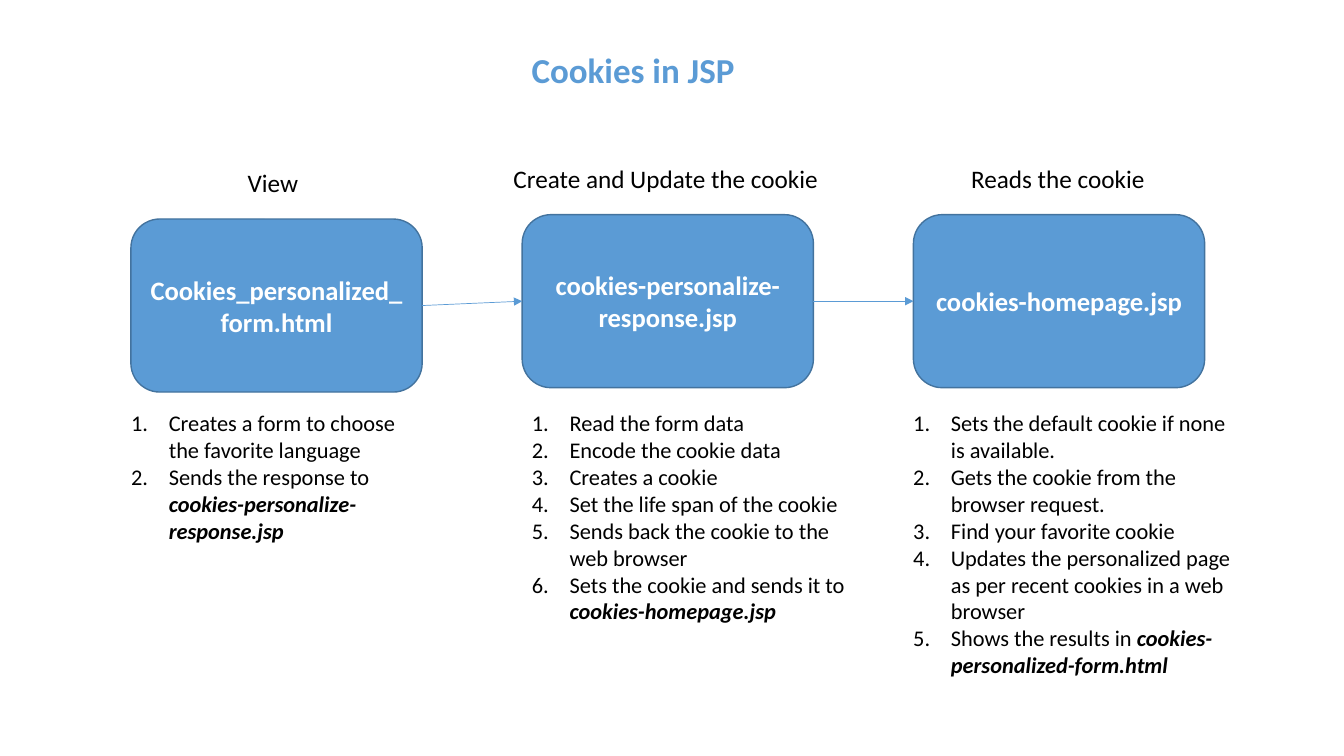
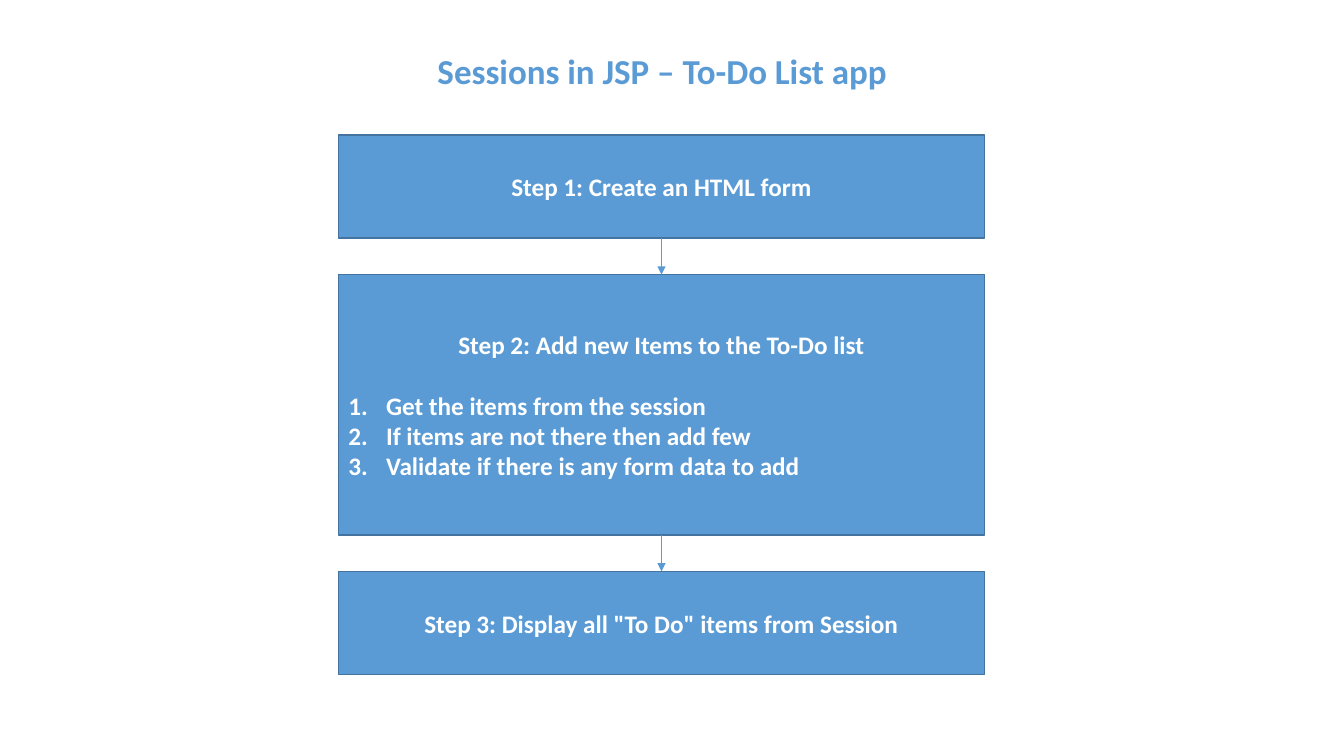
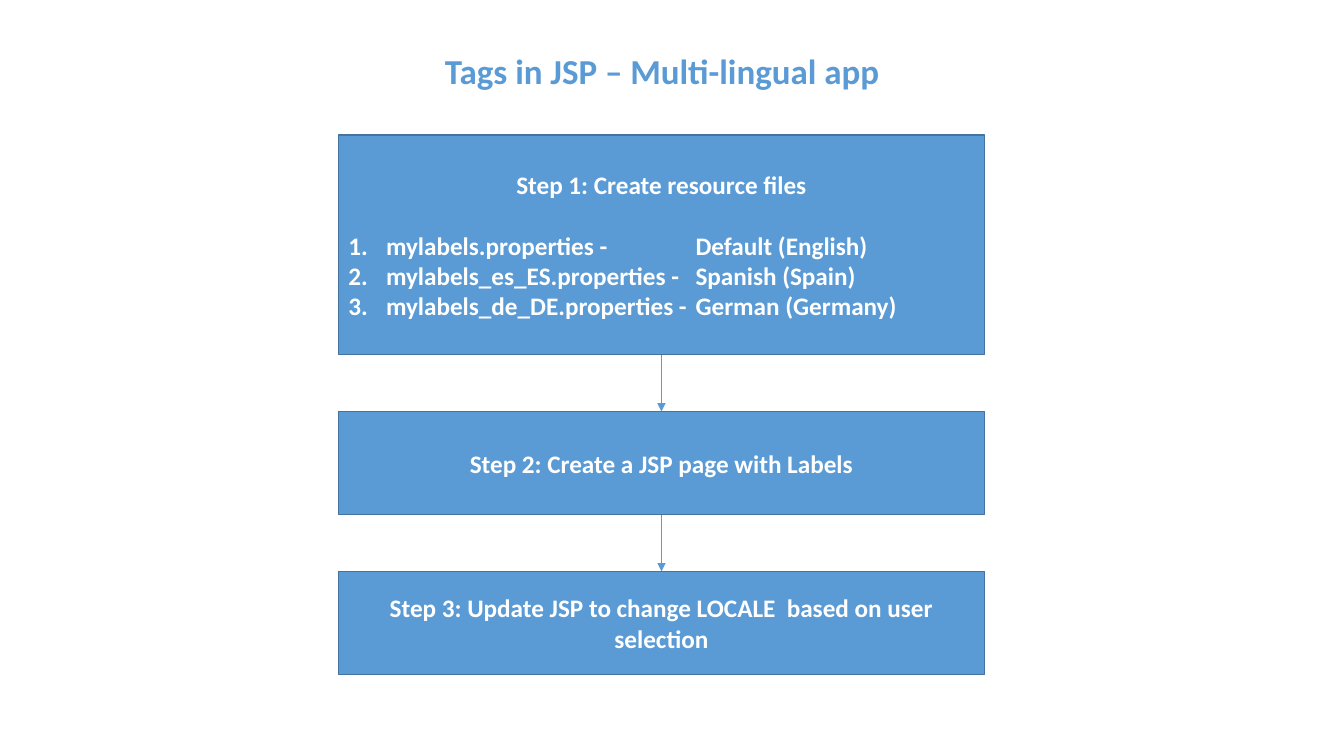
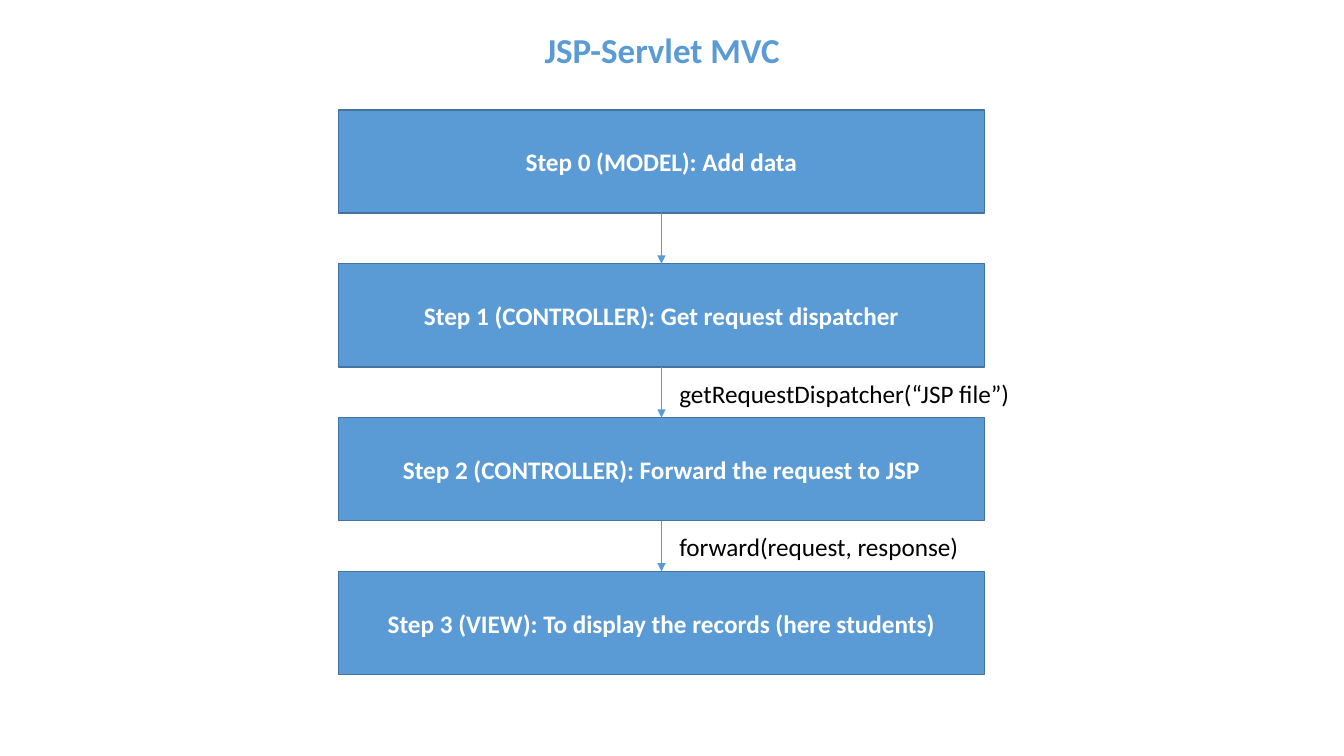
import pptx
import pptx.util
import pptx.dml.color
import pptx.enum.shapes
import pptx.enum.text
import pptx.oxml
import pptx.oxml.ns

Cm, Pt = pptx.util.Cm, pptx.util.Pt
Align = pptx.enum.text.PP_ALIGN
Anchor = pptx.enum.text.MSO_ANCHOR
Fit = pptx.enum.text.MSO_AUTO_SIZE
Kind = pptx.enum.shapes.MSO_SHAPE

FONT = "Calibri"
BLUE, EDGE, WHITE, BLACK = "5B9BD5", "43739E", "FFFFFF", "000000"
TOP, LEFT, BOTTOM, RIGHT = range(4)
INDENT = 0.95
STACK_X, STACK_W, STACK_END = 8.53, 16.28, 17


def color(code):
    """Turn a hex string into a colour."""
    return pptx.dml.color.RGBColor.from_string(code)


def node(parent, tag, **attrs):
    """Append an XML element with the given attributes."""
    part = pptx.oxml.parse_xml(f"<a:{tag} {pptx.oxml.ns.nsdecls('a')}/>")
    for name, value in attrs.items():
        part.set(name, str(value))
    parent.append(part)
    return part


def place(shape, x, y, w, h):
    """Move and size a shape, in centimetres."""
    shape.left, shape.top, shape.width, shape.height = map(Cm, (x, y, w, h))


def style(para, size, code, bold=False, align=Align.LEFT):
    """Format a whole paragraph."""
    font = para.font
    font.name, font.size, font.bold = FONT, Pt(size), bold
    font.color.rgb = color(code)
    para.alignment = align
    para.space_before = Pt(0)


def number(para, stop=None):
    """Number a paragraph with a hanging indent and an optional tab stop."""
    props = para._p.get_or_add_pPr()
    props.set("marL", str(Cm(INDENT)))
    props.set("indent", str(-Cm(INDENT)))
    marks = [node(props, "buFont", typeface="+mj-lt"),
             node(props, "buAutoNum", type="arabicPeriod")]
    if stop:
        tabs = node(props, "tabLst")
        node(tabs, "tab", pos=Cm(stop), algn="l")
        marks.append(tabs)
    final = props.find(pptx.oxml.ns.qn("a:defRPr"))
    if final is not None:
        for mark in marks:
            final.addprevious(mark)


def head(slide, text, x=2.08, y=0):
    """Fill and place the slide title."""
    title = slide.shapes.title
    place(title, x, y, 29.21, 3.68)
    frame = title.text_frame
    frame.text = text
    frame.auto_size = Fit.NONE
    frame.vertical_anchor = Anchor.MIDDLE
    para = frame.paragraphs[0]
    style(para, 25, BLUE, True, Align.CENTER)
    para.line_spacing = 0.9


def block(slide, kind, box, text, size):
    """Draw a filled box with a centred heading."""
    shape = slide.shapes.add_shape(kind, *map(Cm, box))
    shape.shadow.inherit = False
    shape.fill.solid()
    shape.fill.fore_color.rgb = color(BLUE)
    shape.line.color.rgb = color(EDGE)
    shape.line.width = Pt(1)
    shape.text_frame.text = text
    style(shape.text_frame.paragraphs[0], size, WHITE, True, Align.CENTER)
    return shape


def arrow(slide, start, out, end, into):
    """Join two boxes with an arrow between connection sites."""
    line = slide.shapes.add_connector(
        pptx.enum.shapes.MSO_CONNECTOR.STRAIGHT, 0, 0, 0, 0)
    line.begin_connect(start, out)
    line.end_connect(end, into)
    line.line.color.rgb = color(BLUE)
    line.line.width = Pt(0.5)
    node(line.line._get_or_add_ln(), "tailEnd", type="triangle")
    node(line._element.spPr, "effectLst")


def label(slide, text, x, y, w):
    """Write one line of plain text."""
    frame = slide.shapes.add_textbox(*map(Cm, (x, y, w, 1.03))).text_frame
    frame.word_wrap = False
    frame.text = text
    style(frame.paragraphs[0], 18, BLACK)


def steps(holder, box, items):
    """Fill a body placeholder with numbered items, each plain then strong."""
    place(holder, *box)
    frame = holder.text_frame
    frame.auto_size = Fit.NONE
    frame.vertical_anchor = Anchor.TOP
    for i, (plain, strong) in enumerate(items):
        para = frame.paragraphs[0] if i == 0 else frame.add_paragraph()
        para.add_run().text = plain
        if strong:
            run = para.add_run()
            run.text = strong
            run.font.bold = run.font.italic = True
        style(para, 16, BLACK)
        number(para)


def flow(slide, title, cols):
    """Build a row of linked boxes with captions above and lists below."""
    head(slide, title, 1.35, -0.03)
    w, h, pitch = 7.34, 4.36, 9.86
    bodies = list(slide.placeholders)[1:]
    last = None
    for i, (cap, span, name, y, body, items) in enumerate(cols):
        x = 3.3 + i * pitch
        label(slide, cap, x + (w - span) / 2, y - 1.43, span)
        shape = block(slide, Kind.ROUNDED_RECTANGLE, (x, y, w, h), name, 19)
        if last:
            arrow(slide, last, RIGHT, shape, LEFT)
        last = shape
        steps(bodies[i], body, items)
    for spare in bodies[len(cols):]:
        spare.element.getparent().remove(spare.element)


def stack(slide, title, top, rows, y=0):
    """Build a column of linked boxes, evenly spaced down to a fixed end."""
    head(slide, title, y=y)
    gap = (STACK_END - top - sum(row[1] for row in rows)) / (len(rows) - 1)
    last = None
    for text, h, items, note, span in rows:
        box = STACK_X, top, STACK_W, h
        shape = block(slide, Kind.RECTANGLE, box, text, 18)
        frame = shape.text_frame
        if items:
            frame.paragraphs[0].space_after = Pt(22)
        for item in items:
            para = frame.add_paragraph()
            para.text = item
            style(para, 18, WHITE, True)
            number(para, 8.75 if "\t" in item else None)
        if last:
            arrow(slide, last, BOTTOM, shape, TOP)
        last = shape
        top += h
        if note:
            label(slide, note, STACK_X + STACK_W / 2 + 0.2, top + 0.15, span)
        top += gap


def row(text, h=2.6, items=(), note="", span=0):
    """Describe one box of a stack."""
    return text, h, items, note, span


COOKIES = [
    ("View", 1.96, "Cookies_personalized_form.html", 5.52,
     (3.05, 10.19, 7.85, 3.68),
     [("Creates a form to choose the favorite language", ""),
      ("Sends the response to ", "cookies-personalize-response.jsp")]),
    ("Create and Update the cookie", 8.28,
     "cookies-personalize-response.jsp", 5.41, (13.15, 10.19, 8.66, 5.74),
     [("Read the form data", ""),
      ("Encode the cookie data", ""),
      ("Creates a cookie", ""),
      ("Set the life span of the cookie", ""),
      ("Sends back the cookie to the web browser", ""),
      ("Sets the cookie and sends it to ", "cookies-homepage.jsp")]),
    ("Reads the cookie", 4.93, "cookies-homepage.jsp", 5.41,
     (22.76, 10.19, 8.66, 7.77),
     [("Sets the default cookie if none is available.", ""),
      ("Gets the cookie from the browser request.", ""),
      ("Find your favorite cookie", ""),
      ("Updates the personalized page as per recent cookies in a web browser",
       ""),
      ("Shows the results in ", "cookies-personalized-form.html")]),
]

TODO = [
    row("Step 1: Create an HTML form"),
    row("Step 2: Add new Items to the To-Do list", 6.56,
        ["Get the items from the session",
         "If items are not there then add few",
         "Validate if there is any form data to add"]),
    row('Step 3: Display all "To Do" items from Session'),
]

TAGS = [
    row("Step 1: Create resource files", 5.54,
        ["mylabels.properties -\tDefault (English)",
         "mylabels_es_ES.properties -\tSpanish (Spain)",
         "mylabels_de_DE.properties -\tGerman (Germany)"]),
    row("Step 2: Create a JSP page with Labels"),
    row("Step 3: Update JSP to change LOCALE  based on user selection"),
]

MVC = [
    row("Step 0 (MODEL): Add data"),
    row("Step 1 (CONTROLLER): Get request dispatcher",
        note="getRequestDispatcher(“JSP file”)", span=8.92),
    row("Step 2 (CONTROLLER): Forward the request to JSP",
        note="forward(request, response)", span=7.62),
    row("Step 3 (VIEW): To display the records (here students)"),
]

deck = pptx.Presentation()
deck.slide_width, deck.slide_height = Cm(33.87), Cm(19.05)
compare, plain = deck.slide_layouts[4], deck.slide_layouts[5]

flow(deck.slides.add_slide(compare), "Cookies in JSP", COOKIES)
stack(deck.slides.add_slide(plain), "Sessions in JSP – To-Do List app",
      3.4, TODO)
stack(deck.slides.add_slide(plain), "Tags in JSP – Multi-lingual app",
      3.4, TAGS)
stack(deck.slides.add_slide(plain), "JSP-Servlet MVC", 2.77, MVC, -0.53)

deck.save("out.pptx")
